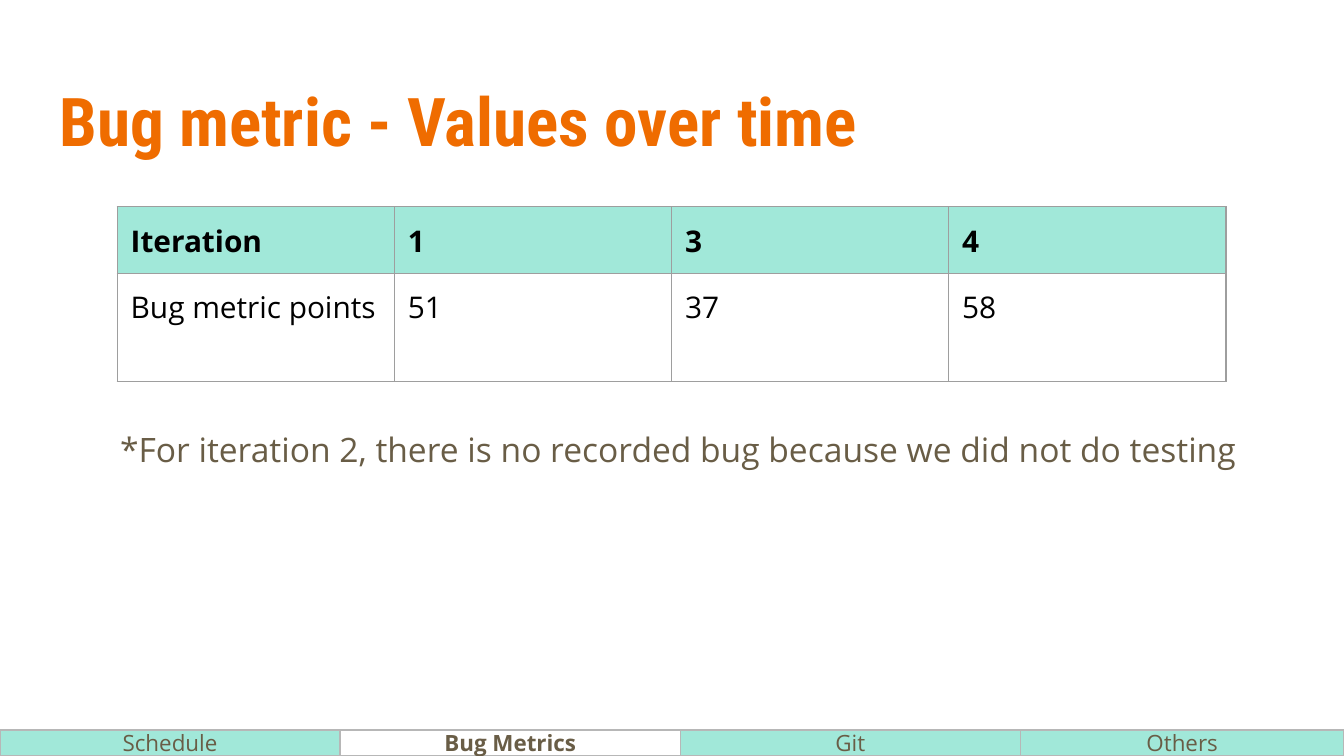
import pptx
import pptx.dml.color
import pptx.enum.shapes
import pptx.enum.text
import pptx.oxml
import pptx.oxml.ns
import pptx.util
from lxml import etree

RGBColor = pptx.dml.color.RGBColor
ORANGE = RGBColor(0xEF, 0x6C, 0x00)
BROWN = RGBColor(0x69, 0x5D, 0x46)
BLACK = RGBColor(0x00, 0x00, 0x00)
WHITE = RGBColor(0xFF, 0xFF, 0xFF)
MINT = RGBColor(0xA1, 0xE8, 0xD9)
CELL_LINE = RGBColor(0x9E, 0x9E, 0x9E)
TAB_LINE = RGBColor(0xB7, 0xB7, 0xB7)

# Widescreen 16:9 slide
prs = pptx.Presentation()
prs.slide_width = pptx.util.Inches(10)
prs.slide_height = prs.slide_width * 9 // 16
s = prs.slides.add_slide(prs.slide_layouts[6])

# Grid of 100 columns by 100 rows
COL = prs.slide_width / 100
ROW = prs.slide_height / 100
INSET = round(COL)


def grid(x, y, w, h):
    return round(x * COL), round(y * ROW), round(w * COL), round(h * ROW)


def write(tf, text, size, color, bold=False, font="Open Sans"):
    tf.word_wrap = True
    p = tf.paragraphs[0]
    r = p.add_run()
    r.text = text
    r.font.name = font
    r.font.size = pptx.util.Pt(size)
    r.font.bold = bold
    r.font.color.rgb = color
    return p


# Title and footnote
texts = [
    ("Bug metric - Values over time", (3.43, 8.7, 93.2, 13.7), 36, ORANGE, True, "Roboto Condensed"),
    ("*For iteration 2, there is no recorded bug because we did not do testing",
     (7.95, 54.9, 88.7, 10), 18, BROWN, False, "Open Sans"),
]
for text, box, size, color, bold, font in texts:
    tf = s.shapes.add_textbox(*grid(*box)).text_frame
    tf.margin_left = tf.margin_right = tf.margin_top = tf.margin_bottom = INSET
    write(tf, text, size, color, bold, font)

# Metric table
rows = [("Iteration", "1", "3", "4"), ("Bug metric points", "51", "37", "58")]
row_heights = [8.85, 14.25]
table = s.shapes.add_table(2, 4, *grid(8.73, 27.35, 82.5, sum(row_heights))).table
table.first_row = table.horz_banding = False
for i, row in enumerate(rows):
    table.rows[i].height = round(row_heights[i] * ROW)
    for j, text in enumerate(row):
        cell = table.cell(i, j)
        cell.margin_left = cell.margin_right = cell.margin_top = cell.margin_bottom = INSET
        write(cell.text_frame, text, 16, BLACK, bold=i == 0)
        # Borders go before the fill in the cell properties
        tcPr = cell._tc.get_or_add_tcPr()
        for side in ("lnL", "lnR", "lnT", "lnB"):
            ln = etree.SubElement(tcPr, pptx.oxml.ns.qn("a:" + side), w=str(pptx.util.Pt(0.75)))
            fill = etree.SubElement(ln, pptx.oxml.ns.qn("a:solidFill"))
            etree.SubElement(fill, pptx.oxml.ns.qn("a:srgbClr"), val=str(CELL_LINE))
        if i == 0:
            cell.fill.solid()
            cell.fill.fore_color.rgb = MINT
        else:
            cell.fill.background()

# Section tabs along the bottom, the last one cut off by the slide edge
TAB = 25.31
for i, text in enumerate(["Schedule", "Bug Metrics", "Git", "Others"]):
    current = text == "Bug Metrics"
    x = i * TAB
    sp = s.shapes.add_shape(pptx.enum.shapes.MSO_SHAPE.RECTANGLE,
                            *grid(x, 96.55, min(TAB, 100 - x), 3.45))
    sp.shadow.inherit = False
    sp.fill.solid()
    sp.fill.fore_color.rgb = WHITE if current else MINT
    sp.line.color.rgb = TAB_LINE
    sp.line.width = pptx.util.Pt(0.75)
    tf = sp.text_frame
    tf.margin_left = tf.margin_right = tf.margin_top = tf.margin_bottom = INSET
    tf.vertical_anchor = pptx.enum.text.MSO_ANCHOR.MIDDLE
    p = write(tf, text, 12, BROWN, current)
    p.alignment = pptx.enum.text.PP_ALIGN.CENTER

prs.save("out.pptx")
